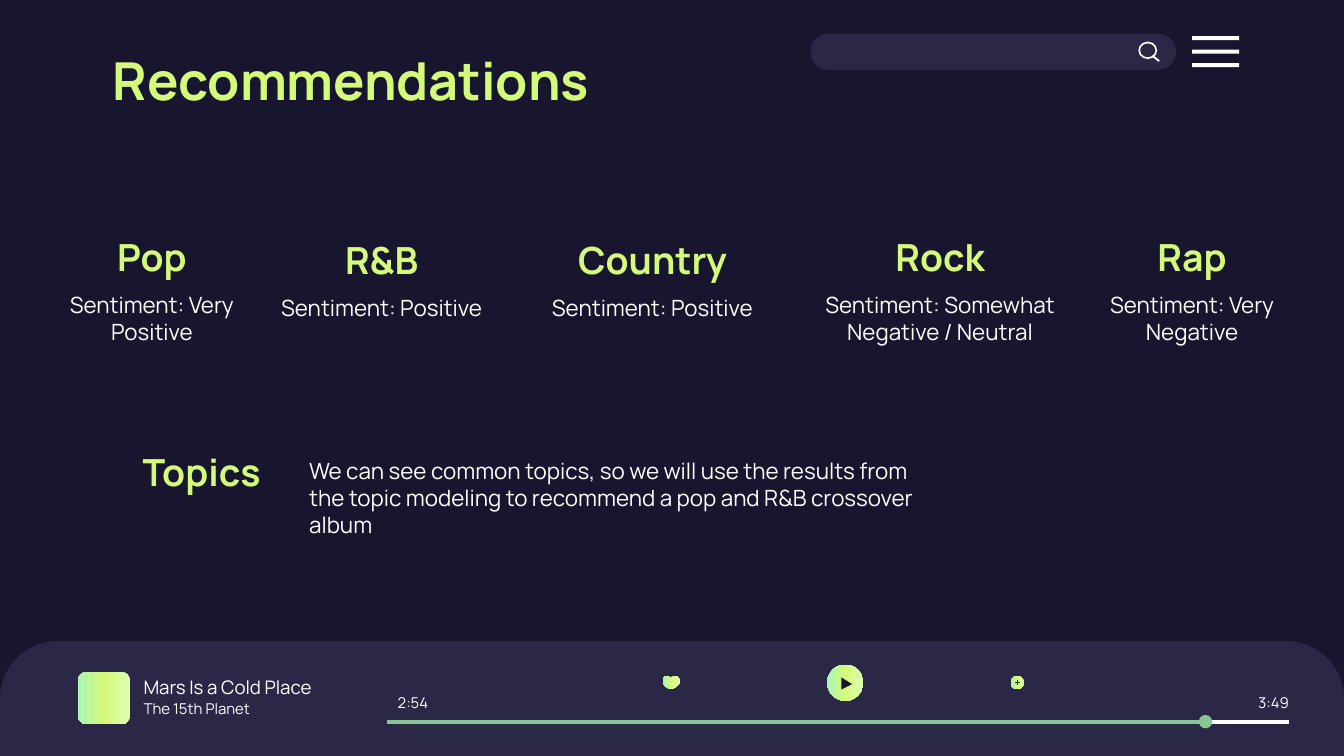
import lxml.etree
import pptx
import pptx.dml.color
import pptx.enum.shapes
import pptx.enum.text
import pptx.oxml.ns
import pptx.util

Inches = pptx.util.Inches
SHAPE = pptx.enum.shapes.MSO_SHAPE
ALIGN = pptx.enum.text.PP_ALIGN
ANCHOR = pptx.enum.text.MSO_ANCHOR
qn = pptx.oxml.ns.qn

FONT = "Manrope"
COLOURS = {"night": "17162E", "panel": "2A2747", "lime": "D5F979",
           "pale": "DDFFB2", "mint": "A9F5B4", "green": "88C591", "white": "FFFFFF"}
GLOW = [(0, "pale"), (50, "lime"), (100, "mint")]
GENRES = [
    ("Pop", "Sentiment: Very Positive", (0.12, 1.62, 2.02, 1.18)),
    ("R&B", "Sentiment: Positive", (1.83, 1.64, 2.02, 1.18)),
    ("Country", "Sentiment: Positive", (3.66, 1.64, 2.39, 1.18)),
    ("Rock", "Sentiment: Somewhat Negative / Neutral", (5.8, 1.62, 2.39, 1.18)),
    ("Rap", "Sentiment: Very Negative", (7.86, 1.62, 2.02, 1.18)),
]


def rgb(name):
    """Return the named colour."""
    return pptx.dml.color.RGBColor.from_string(COLOURS[name])


def paint(shape, colour):
    """Fill a shape with a named colour or, for "glow", the gradient."""
    shape.shadow.inherit = False
    shape.line.fill.background()
    if colour != "glow":
        shape.fill.solid()
        shape.fill.fore_color.rgb = rgb(colour)
        return
    shape.fill.gradient()
    shape.fill.gradient_angle = 180
    stops = shape._element.spPr.find(".//" + qn("a:gsLst"))
    for old in list(stops):
        stops.remove(old)
    for percent, name in GLOW:
        stop = lxml.etree.SubElement(stops, qn("a:gs"), pos=str(percent * 1000))
        lxml.etree.SubElement(stop, qn("a:srgbClr"), val=COLOURS[name])


def add_block(slide, kind, box, colour, adjustments=()):
    """Add a filled preset shape."""
    block = slide.shapes.add_shape(kind, *map(Inches, box))
    for index, value in enumerate(adjustments):
        block.adjustments[index] = value
    paint(block, colour)


def add_outline(slide, points, colour):
    """Add a filled closed outline through points in inches."""
    corners = [(Inches(x), Inches(y)) for x, y in points]
    builder = slide.shapes.build_freeform(*corners[0])
    builder.add_line_segments(corners[1:], close=True)
    paint(builder.convert_to_shape(), colour)


def add_rule(slide, start, end, colour, width):
    """Add a straight line without shadow."""
    rule = slide.shapes.add_connector(
        pptx.enum.shapes.MSO_CONNECTOR.STRAIGHT, *map(Inches, (*start, *end)))
    rule.line.color.rgb = rgb(colour)
    rule.line.width = pptx.util.Pt(width)
    lxml.etree.SubElement(rule._element.spPr, qn("a:effectLst"))


def write(holder, box, text, size, colour="white", bold=False,
          align=ALIGN.LEFT, anchor=ANCHOR.MIDDLE, side=0.1):
    """Place a text holder and write one formatted run in it."""
    holder.left, holder.top, holder.width, holder.height = map(Inches, box)
    frame = holder.text_frame
    frame.word_wrap = True
    frame.auto_size = pptx.enum.text.MSO_AUTO_SIZE.NONE
    frame.vertical_anchor = anchor
    frame.margin_left = frame.margin_right = Inches(side)
    frame.margin_top = frame.margin_bottom = Inches(0.1)
    paragraph = frame.paragraphs[0]
    paragraph.alignment = align
    paragraph.space_before = pptx.util.Pt(0)
    run = paragraph.add_run()
    run.text = text
    run.font.name = FONT
    run.font.size = pptx.util.Pt(size)
    run.font.bold = bold
    run.font.color.rgb = rgb(colour)


def add_text(slide, box, text, size, **style):
    """Add a text box with one run."""
    write(slide.shapes.add_textbox(0, 0, 0, 0), box, text, size, **style)


def curve(start, *segments, steps=10):
    """Return points along a chain of cubic Bezier segments."""
    points = [start]
    for a, b, end in segments:
        first = points[-1]
        for step in range(1, steps + 1):
            t = step / steps
            u = 1 - t
            points.append(tuple(
                u**3 * p + 3 * u * u * t * q + 3 * u * t * t * r + t**3 * s
                for p, q, r, s in zip(first, a, b, end)))
    return points


def search_bar(slide, box):
    """Draw the search field, its magnifier and the menu icon."""
    left, top, width, height = box
    add_block(slide, SHAPE.ROUNDED_RECTANGLE, (left, top, 2.72, height), "panel", [0.5])
    for row in range(3):
        add_block(slide, SHAPE.RECTANGLE,
                  (left + width - 0.35, top + 0.02 + 0.1 * row, 0.35, 0.03), "white")
    add_block(slide, SHAPE.DONUT, (left + 2.44, top + 0.06, 0.14, 0.13), "white", [0.1])
    handle = [(2.55, 0.16), (2.54, 0.17), (2.59, 0.21), (2.6, 0.2)]
    add_outline(slide, [(left + x, top + y) for x, y in handle], "white")


def heart(slide, box):
    """Draw the favourite icon."""
    left, top, width, height = box
    unit = curve((0.72, 0),
                 ((0.6, 0), (0.5, 0.08), (0.48, 0.18)),
                 ((0.42, 0.08), (0.34, 0), (0.24, 0)),
                 ((0.1, 0), (0, 0.18), (0, 0.38)),
                 ((0, 0.5), (0.02, 0.6), (0.08, 0.66)),
                 ((0.1, 0.74), (0.32, 0.94), (0.5, 1)),
                 ((0.66, 0.94), (0.86, 0.74), (0.92, 0.66)),
                 ((0.98, 0.6), (1, 0.5), (1, 0.38)),
                 ((1, 0.18), (0.88, 0), (0.72, 0)))
    add_outline(slide, [(left + x * width, top + y * height) for x, y in unit], "glow")


def player(slide, box):
    """Draw the music player bar with its track, controls and progress."""
    left, top, width, height = box
    add_block(slide, SHAPE.ROUND_2_SAME_RECTANGLE, box, "panel", [0.5, 0])
    add_block(slide, SHAPE.ROUNDED_RECTANGLE,
              (left + 0.58, top + 0.23, 0.39, 0.39), "glow", [0.167])
    add_text(slide, (left + 0.97, top + 0.26, 1.91, 0.17), "Mars Is a Cold Place", 10)
    add_text(slide, (left + 0.97, top + 0.42, 1.15, 0.17), "The 15th Planet", 8)
    for x, time, align in ((2.96, "2:54", ALIGN.LEFT), (9.32, "3:49", ALIGN.RIGHT)):
        add_text(slide, (left + x, top + 0.37, 0.27, 0.17), time, 8, align=align, side=0)

    heart(slide, (left + 4.93, top + 0.26, 0.13, 0.1))
    middle = top + 0.31
    for x, size in ((6.29, 0.27), (7.57, 0.1)):
        add_block(slide, SHAPE.OVAL,
                  (left + x - size / 2, middle - size / 2, size, size), "glow")
    arrow = [(6.26, -0.04), (6.26, 0.05), (6.34, 0.01)]
    add_outline(slide, [(left + x, middle + y) for x, y in arrow], "night")
    for dx, dy in ((0, 0.02), (0.02, 0)):
        add_rule(slide, (left + 7.57 - dx, middle - dy),
                 (left + 7.57 + dx, middle + dy), "panel", 0.75)

    track = top + 0.6
    add_rule(slide, (left + 2.96, track), (left + 9.59, track), "white", 2.25)
    add_block(slide, SHAPE.OVAL, (left + 8.92, track - 0.05, 0.1, 0.1), "green")
    add_rule(slide, (left + 2.88, track), (left + 8.94, track), "green", 2.25)


def genre(slide, box, name, sentiment):
    """Write a genre heading above its sentiment."""
    left, top, width, height = box
    add_text(slide, (left + width / 2 - 1.01, top, 2.02, 0.58), name, 20,
             colour="lime", bold=True, align=ALIGN.CENTER)
    add_text(slide, (left, top + 0.45, width, height - 0.45), sentiment, 12,
             align=ALIGN.CENTER, anchor=ANCHOR.TOP)


def topics(slide, box, finding):
    """Write the topics heading beside its finding."""
    left, top, width, height = box
    add_text(slide, (left, top, 2.02, 0.58), "Topics", 20,
             colour="lime", bold=True, align=ALIGN.CENTER)
    write(finding, (left + 1.71, top + 0.08, width - 1.71, height - 0.08),
          "We can see common topics, so we will use the results from the topic "
          "modeling to recommend a pop and R&B crossover album", 12, anchor=ANCHOR.TOP)


def main():
    """Build and save the recommendations slide."""
    deck = pptx.Presentation()
    deck.slide_width = Inches(10)
    deck.slide_height = deck.slide_width * 9 // 16
    slide = deck.slides.add_slide(deck.slide_layouts[0])
    slide.background.fill.solid()
    slide.background.fill.fore_color.rgb = rgb("night")
    search_bar(slide, (6.03, 0.25, 3.19, 0.27))
    player(slide, (0, 4.77, 10, 0.86))
    write(slide.shapes.title, (-0.15, 0.28, 5.52, 0.63), "Recommendations", 28,
          colour="lime", bold=True, align=ALIGN.CENTER)
    for name, sentiment, box in GENRES:
        genre(slide, box, name, sentiment)
    topics(slide, (0.49, 3.22, 6.53, 1.08), slide.placeholders[1])
    deck.save("out.pptx")


if __name__ == "__main__":
    main()
